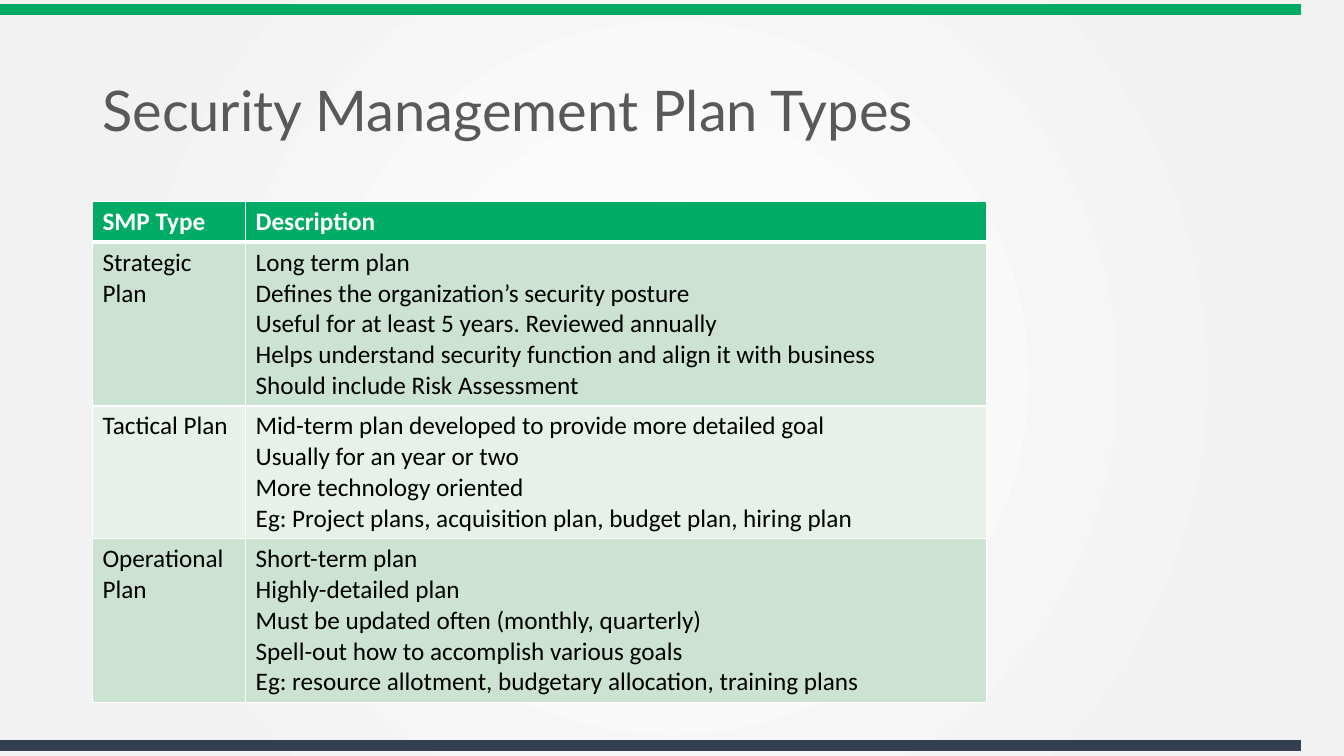
from lxml.etree import SubElement
from pptx import Presentation
from pptx.dml.color import RGBColor
from pptx.enum.shapes import MSO_SHAPE
from pptx.enum.text import MSO_ANCHOR
from pptx.oxml.ns import qn
from pptx.util import Cm, Pt

# Content
TITLE = "Security Management Plan Types"
HEADINGS = ("SMP Type", "Description")
PLANS = [
    ("Strategic Plan", [
        "Long term plan",
        "Defines the organization’s security posture",
        "Useful for at least 5 years. Reviewed annually",
        "Helps understand security function and align it with business",
        "Should include Risk Assessment",
    ]),
    ("Tactical Plan", [
        "Mid-term plan developed to provide more detailed goal",
        "Usually for an year or two",
        "More technology oriented",
        "Eg: Project plans, acquisition plan, budget plan, hiring plan",
    ]),
    ("Operational Plan", [
        "Short-term plan",
        "Highly-detailed plan",
        "Must be updated often (monthly, quarterly)",
        "Spell-out how to accomplish various goals",
        "Eg: resource allotment, budgetary allocation, training plans",
    ]),
]

# Colours
WHITE = RGBColor(0xFF, 0xFF, 0xFF)
BLACK = RGBColor(0, 0, 0)
PALE_GREY = RGBColor(0xF2, 0xF2, 0xF2)
TITLE_GREY = RGBColor(0x59, 0x59, 0x59)
GREEN = RGBColor(0x00, 0xAC, 0x65)
NAVY = RGBColor(0x33, 0x3F, 0x50)
BANDS = (RGBColor(0xCC, 0xE3, 0xD3), RGBColor(0xE7, 0xF1, 0xEA))

# Measures in centimetres
LEFT = 2.33
COLUMN_WIDTHS = (3.86, 18.67)
LINE_HEIGHT, ROW_PADDING = 0.775, 0.25


def add_text(paragraph, text, font, size, color, bold=False):
    run = paragraph.add_run()
    run.text = text
    run.font.name = font
    run.font.size = Pt(size)
    run.font.color.rgb = color
    run.font.bold = bold


def fill_cell(cell, lines, fill, color, bold=False, bottom=1):
    cell.fill.solid()
    cell.fill.fore_color.rgb = fill
    for i, line in enumerate(lines):
        frame = cell.text_frame
        paragraph = frame.add_paragraph() if i else frame.paragraphs[0]
        add_text(paragraph, line, "Calibri", 18, color, bold)
    # Borders come before the fill in the cell properties
    properties = cell._tc.get_or_add_tcPr()
    borders = (("a:lnL", 1), ("a:lnR", 1), ("a:lnT", 1), ("a:lnB", bottom))
    for i, (side, width) in enumerate(borders):
        border = SubElement(properties, qn(side), w=str(Pt(width)))
        solid = SubElement(border, qn("a:solidFill"))
        SubElement(solid, qn("a:srgbClr"), val=str(WHITE))
        properties.insert(i, border)


prs = Presentation()
prs.slide_width, prs.slide_height = Cm(33.87), Cm(19.05)
slide = prs.slides.add_slide(prs.slide_layouts[6])

# Radial background
background = slide.background.fill
background.gradient()
for stop, color, position in zip(background.gradient_stops, (WHITE, PALE_GREY), (0, 0.81)):
    stop.color.rgb = color
    stop.position = position
gradient = next(slide.element.iter(qn("a:gradFill")))
gradient.remove(gradient.find(qn("a:lin")))
circle = SubElement(gradient, qn("a:path"), path="circle")
SubElement(circle, qn("a:fillToRect"), {side: "50000" for side in "ltrb"})

# Top and bottom bars
for top, color in ((0.11, GREEN), (18.67, NAVY)):
    bar = slide.shapes.add_shape(MSO_SHAPE.RECTANGLE, 0, Cm(top), Cm(32.77), Cm(0.25))
    bar.shadow.inherit = False
    bar.fill.solid()
    bar.fill.fore_color.rgb = color
    bar.line.color.rgb = color
    bar.line.width = Pt(1)

# Title
heading = slide.shapes.add_textbox(Cm(LEFT), Cm(1.01), Cm(29.21), Cm(3.68)).text_frame
heading.word_wrap = True
heading.vertical_anchor = MSO_ANCHOR.MIDDLE
heading.paragraphs[0].line_spacing = 0.9
add_text(heading.paragraphs[0], TITLE, "Lato", 40, TITLE_GREY)

# Plan table: each row is as tall as its description
line_counts = [1] + [len(description) for _, description in PLANS]
row_heights = [LINE_HEIGHT * count + ROW_PADDING for count in line_counts]
table = slide.shapes.add_table(
    len(row_heights), len(HEADINGS), Cm(LEFT), Cm(5.08),
    Cm(sum(COLUMN_WIDTHS)), Cm(sum(row_heights))).table
for column, width in zip(table.columns, COLUMN_WIDTHS):
    column.width = Cm(width)
for row, height in zip(table.rows, row_heights):
    row.height = Cm(height)

for c, label in enumerate(HEADINGS):
    fill_cell(table.cell(0, c), [label], GREEN, WHITE, bold=True, bottom=3)
for r, (plan, description) in enumerate(PLANS, start=1):
    band = BANDS[(r - 1) % 2]
    fill_cell(table.cell(r, 0), [plan], band, BLACK)
    fill_cell(table.cell(r, 1), description, band, BLACK)
    if r == 1:
        # The heavy rule under the header is shared with the first plan row
        for c in range(len(HEADINGS)):
            top = table.cell(r, c)._tc.tcPr.find(qn("a:lnT"))
            top.set("w", str(Pt(3)))

prs.save("out.pptx")
